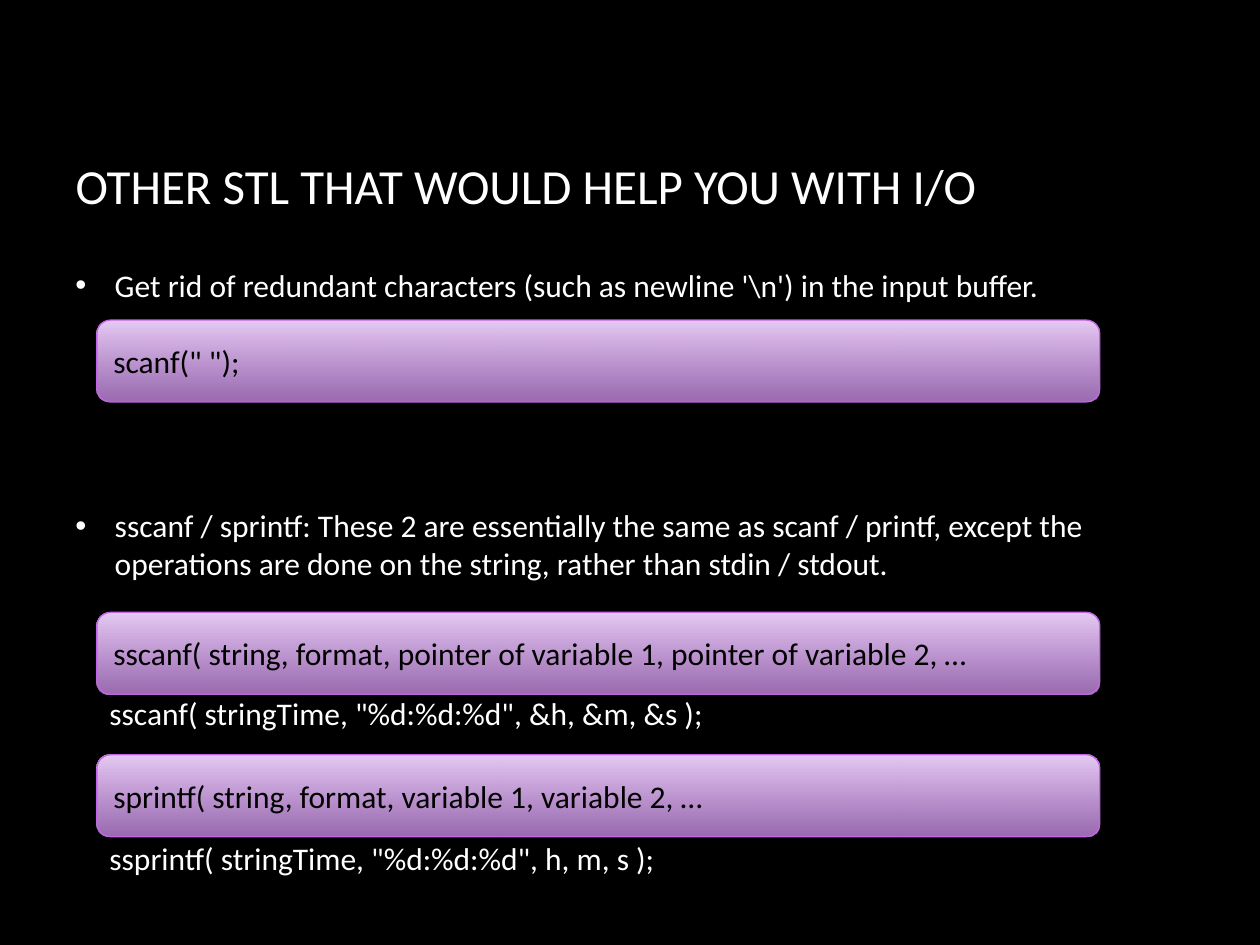
from dataclasses import dataclass

from lxml import etree
from pptx import Presentation
from pptx.dml.color import RGBColor
from pptx.enum import shapes, text
from pptx.oxml.ns import qn
from pptx.util import Pt


@dataclass(frozen=True)
class Theme:
    font: str = "Calibri"
    title_size: int = 28
    body_size: int = 18
    background: str = "000000"
    light: str = "FFFFFF"
    dark: str = "000000"
    bar_top: str = "E7CAF5"
    bar_bottom: str = "CF91EC"
    bar_bottom_opacity: int = 74
    bar_line: str = "C363E8"


THEME = Theme()

# Content: text and top edge in points
TITLE = "OTHER STL THAT WOULD HELP YOU WITH I/O"
BULLETS = [  # text, top, height, wraps
    ("Get rid of redundant characters (such as newline '\\n') in the input buffer.",
     148.3, 29, False),
    ("sscanf / sprintf: These 2 are essentially the same as scanf / printf, except "
     "the operations are done on the string, rather than stdin / stdout.",
     285.8, 52.5, True),
]
SYNTAX_BARS = [
    ('scanf(" ");', 182.9),
    ("sscanf( string, format, pointer of variable 1, pointer of variable 2, …", 349.9),
    ("sprintf( string, format, variable 1, variable 2, …", 431.3),
]
EXAMPLES = [
    ('sscanf( stringTime, "%d:%d:%d", &h, &m, &s );', 393.1),
    ('ssprintf( stringTime, "%d:%d:%d", h, m, s );', 475.9),
]

# Layout in points
MARGIN, TEXT_WIDTH = 36, 612
CODE_LEFT, CODE_WIDTH = 55.4, 573.1
BAR_HEIGHT, LINE_HEIGHT = 46.8, 29
BULLET_INDENT = 22.5


def color(value):
    return RGBColor.from_string(value)


def write(box, words, size, ink, anchor, wrap=True):
    frame = box.text_frame
    frame.word_wrap = wrap
    frame.auto_size = text.MSO_AUTO_SIZE.NONE
    frame.vertical_anchor = anchor
    para = frame.paragraphs[0]
    para.alignment = text.PP_ALIGN.LEFT
    span = para.add_run()
    span.text = words
    span.font.name = THEME.font
    span.font.size = Pt(size)
    span.font.color.rgb = color(ink)
    return para


def add_line(page, words, left, top, width, height, wrap=False):
    box = page.shapes.add_textbox(Pt(left), Pt(top), Pt(width), Pt(height))
    return write(box, words, THEME.body_size, THEME.light,
                 text.MSO_ANCHOR.TOP, wrap)


def add_bullet(para):
    properties = para._p.get_or_add_pPr()
    properties.set("marL", str(Pt(BULLET_INDENT)))
    properties.set("indent", str(-Pt(BULLET_INDENT)))
    etree.SubElement(properties, qn("a:buFont"), typeface="Arial")
    etree.SubElement(properties, qn("a:buChar"), char="•")


def add_bar(page, words, top):
    bar = page.shapes.add_shape(shapes.MSO_SHAPE.ROUNDED_RECTANGLE, Pt(CODE_LEFT),
                                Pt(top), Pt(CODE_WIDTH), Pt(BAR_HEIGHT))
    bar.shadow.inherit = False
    bar.fill.gradient()
    bar.fill.gradient_angle = 270
    first, last = bar.fill.gradient_stops
    first.position, last.position = 0, 1
    first.color.rgb = color(THEME.bar_top)
    last.color.rgb = color(THEME.bar_bottom)
    # Let the background show through the lower edge
    tint = bar._element.spPr.findall(".//" + qn("a:srgbClr"))[-1]
    etree.SubElement(tint, qn("a:alpha"), val=str(THEME.bar_bottom_opacity * 1000))
    bar.line.color.rgb = color(THEME.bar_line)
    bar.line.width = Pt(0.75)
    write(bar, words, THEME.body_size, THEME.dark, text.MSO_ANCHOR.MIDDLE)


def main():
    deck = Presentation()
    deck.slide_width, deck.slide_height = Pt(720), Pt(540)
    page = deck.slides.add_slide(deck.slide_layouts[5])
    page.background.fill.solid()
    page.background.fill.fore_color.rgb = color(THEME.background)

    # Title
    title = page.shapes.title
    title.left, title.top = Pt(MARGIN), Pt(48.2)
    title.width, title.height = Pt(TEXT_WIDTH), Pt(114.5)
    write(title, TITLE, THEME.title_size, THEME.light, text.MSO_ANCHOR.MIDDLE)

    # Syntax bars
    for words, top in SYNTAX_BARS:
        add_bar(page, words, top)

    # Explanations
    for words, top, height, wrap in BULLETS:
        add_bullet(add_line(page, words, MARGIN, top, TEXT_WIDTH, height, wrap))

    # Usage examples
    for words, top in EXAMPLES:
        add_line(page, words, CODE_LEFT, top, 358, LINE_HEIGHT, wrap=True)

    deck.save("out.pptx")


if __name__ == "__main__":
    main()
